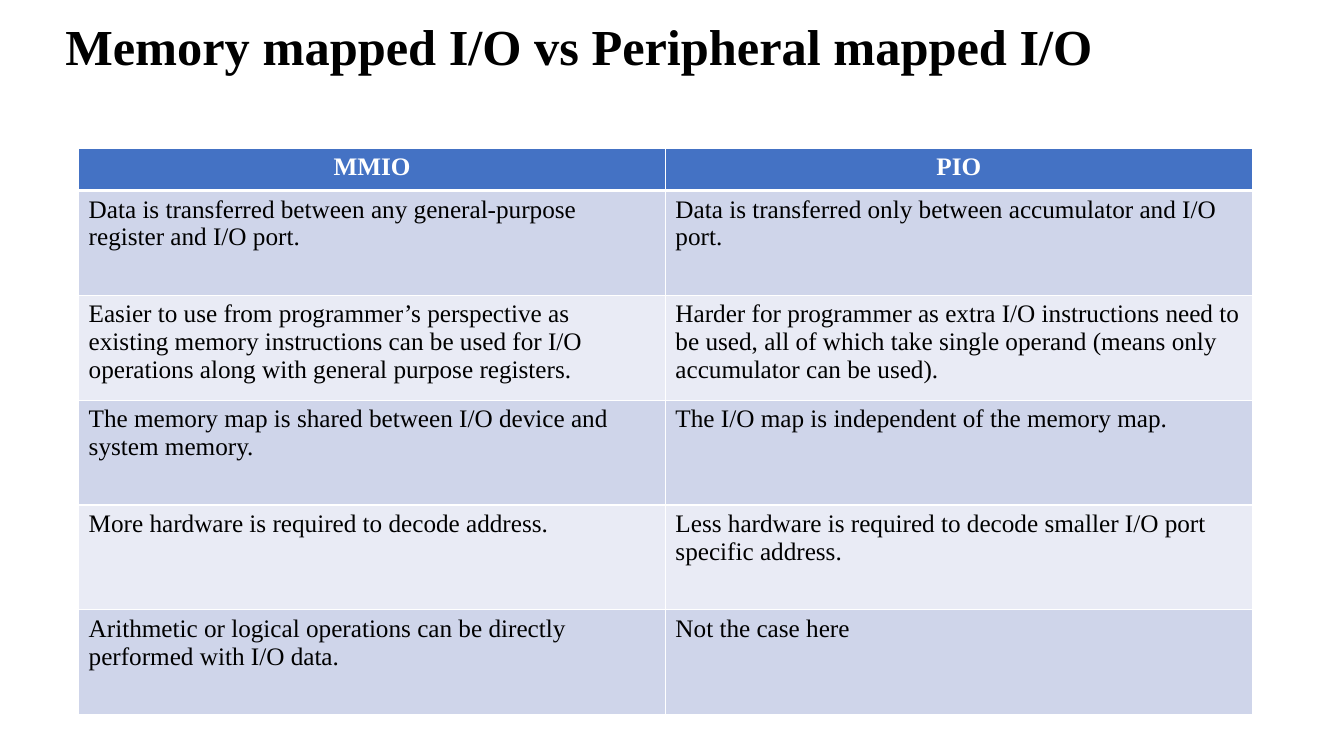
from dataclasses import dataclass

from lxml import etree
from pptx import Presentation
from pptx.dml.color import RGBColor
from pptx.enum.text import MSO_ANCHOR, PP_ALIGN
from pptx.oxml.ns import qn
from pptx.util import Inches, Pt

MIDDLE = MSO_ANCHOR.MIDDLE
LEFT, CENTER = PP_ALIGN.LEFT, PP_ALIGN.CENTER


@dataclass(frozen=True)
class Theme:
    font: str = "Times New Roman"
    title_size: int = 36
    table_size: int = 18
    ink: str = "000000"
    paper: str = "FFFFFF"
    header: str = "4472C4"
    bands: tuple = ("CFD5EA", "E9EBF5")
    thin: int = 1
    thick: int = 3


TITLE = "Memory mapped I/O vs Peripheral mapped I/O"
COMPARISON = [
    ("MMIO", "PIO"),
    ("Data is transferred between any general-purpose register and I/O port.",
     "Data is transferred only between accumulator and I/O port."),
    ("Easier to use from programmer’s perspective as existing memory instructions "
     "can be used for I/O operations along with general purpose registers.",
     "Harder for programmer as extra I/O instructions need to be used, all of which "
     "take single operand (means only accumulator can be used)."),
    ("The memory map is shared between I/O device and system memory.",
     "The I/O map is independent of the memory map."),
    ("More hardware is required to decode address.",
     "Less hardware is required to decode smaller I/O port specific address."),
    ("Arithmetic or logical operations can be directly performed with I/O data.",
     "Not the case here"),
]


def write(frame, text, *, font, size, color, bold=False, align=LEFT, spacing=1.0):
    para = frame.paragraphs[0]
    para.alignment = align
    para.line_spacing = spacing
    span = para.add_run()
    span.text = text
    span.font.name = font
    span.font.size = Pt(size)
    span.font.bold = bold
    span.font.color.rgb = RGBColor.from_string(color)


def add_border(cell, side, color, width):
    properties = cell._tc.get_or_add_tcPr()
    line = etree.SubElement(properties, qn(f"a:ln{side}"), w=str(Pt(width)))
    fill = etree.SubElement(line, qn("a:solidFill"))
    etree.SubElement(fill, qn("a:srgbClr"), val=color)


class SlideBuilder:
    """Draws styled elements on the current slide."""

    def __init__(self, page, theme):
        self.page = page
        self.theme = theme

    def title(self, text, left, top, width, height):
        box = self.page.shapes.add_textbox(
            Inches(left), Inches(top), Inches(width), Inches(height))
        frame = box.text_frame
        frame.word_wrap = True
        frame.vertical_anchor = MIDDLE
        write(frame, text, font=self.theme.font, size=self.theme.title_size,
              color=self.theme.ink, bold=True, spacing=0.9)

    def table(self, rows, left, top, width, header_height, row_height):
        height = header_height + row_height * (len(rows) - 1)
        table = self.page.shapes.add_table(
            len(rows), len(rows[0]), Inches(left), Inches(top),
            Inches(width), Inches(height)).table
        for index, texts in enumerate(rows):
            table.rows[index].height = Inches(row_height if index else header_height)
            for column, text in enumerate(texts):
                self.cell(table.cell(index, column), text, index)

    def cell(self, cell, text, index):
        theme = self.theme
        is_header = index == 0
        top_width = theme.thick if index == 1 else theme.thin
        bottom_width = theme.thick if is_header else theme.thin
        widths = {"L": theme.thin, "R": theme.thin, "T": top_width, "B": bottom_width}
        for side, width in widths.items():
            add_border(cell, side, theme.paper, width)
        band = theme.header if is_header else theme.bands[(index - 1) % 2]
        cell.fill.solid()
        cell.fill.fore_color.rgb = RGBColor.from_string(band)
        write(cell.text_frame, text, font=theme.font, size=theme.table_size,
              color=theme.paper if is_header else theme.ink,
              bold=is_header, align=CENTER if is_header else LEFT)


def main():
    deck = Presentation()
    deck.slide_width, deck.slide_height = Inches(13.33), Inches(7.5)
    page = deck.slides.add_slide(deck.slide_layouts[6])
    builder = SlideBuilder(page, Theme())
    builder.title(TITLE, 0.55, -0.01, 11.5, 0.99)
    builder.table(COMPARISON, 0.78, 1.47, 11.64, header_height=0.42, row_height=1.04)
    deck.save("out.pptx")


if __name__ == "__main__":
    main()
